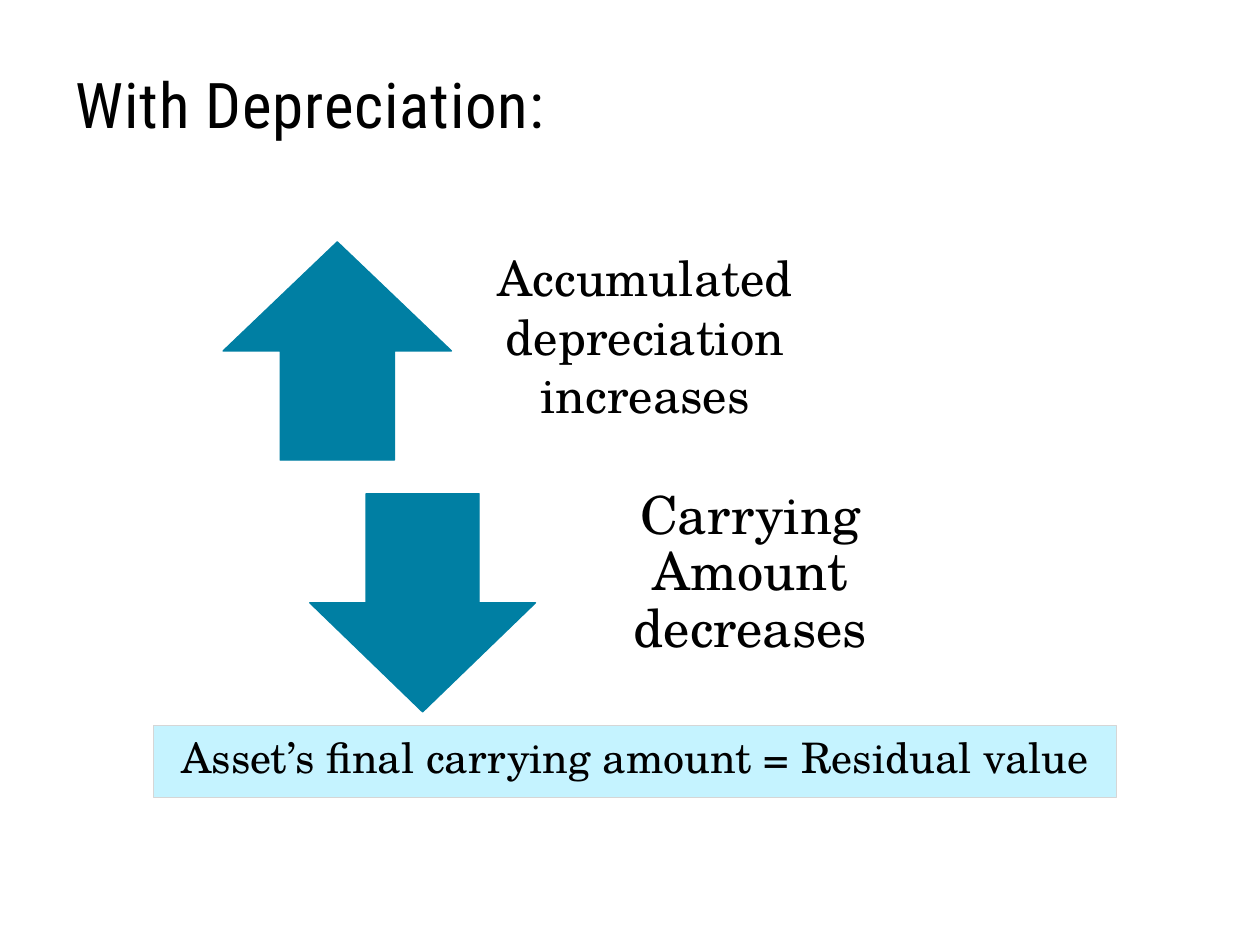
from pptx import Presentation
from pptx import util as u
from pptx.dml.color import RGBColor
from pptx.enum import shapes, text

Pt = u.Pt
UP, DOWN = shapes.MSO_SHAPE.UP_ARROW, shapes.MSO_SHAPE.DOWN_ARROW

THEME = {
    "ink": "000000", "arrow": "007FA3", "band": "C5F3FF", "band_line": "D6D6D6",
    "title_font": "Roboto Condensed", "body_font": "TeX Gyre Schola",
    "title_size": 36, "increase_size": 27.8, "decrease_size": 30, "result_size": 24,
    "line_width": 0.75,
}

# Frames are left, top, width, height in points.
TITLE = ("With Depreciation:", (36, 17.3, 648, 86.4))
EFFECTS = [
    {"arrow": UP, "arrow_frame": (127.5, 138.2, 130.5, 124.7),
     "text": "Accumulated depreciation increases",
     "text_frame": (275.8, 138.2, 185.8, 120.2),
     "size": THEME["increase_size"], "line_spacing": 1.0},
    {"arrow": DOWN, "arrow_frame": (177, 282.1, 129, 124.7),
     "text": "Carrying Amount decreases",
     "text_frame": (347.8, 275.8, 162, 113.8),
     "size": THEME["decrease_size"], "line_spacing": 0.9},
]
RESULT = ("Asset’s final carrying amount = Residual value", (87.8, 414.7, 550.1, 41))


def points(frame):
    return [Pt(value) for value in frame]


def colour(name):
    return RGBColor.from_string(THEME[name])


def write(box, words, *, size, font="body_font", align=text.PP_ALIGN.CENTER,
          anchor=text.MSO_ANCHOR.TOP, line_spacing=1.0, space_after=8,
          inset_top=3.6, tracking=None):
    frame = box.text_frame
    frame.word_wrap = True
    frame.auto_size = text.MSO_AUTO_SIZE.NONE
    frame.vertical_anchor = anchor
    frame.margin_left = frame.margin_right = Pt(7.2)
    frame.margin_top, frame.margin_bottom = Pt(inset_top), Pt(3.6)
    para = frame.paragraphs[0]
    para.alignment = align
    para.line_spacing = line_spacing
    para.space_before, para.space_after = Pt(0), Pt(space_after)
    span = para.add_run()
    span.text = words
    span.font.name = THEME[font]
    span.font.size = Pt(size)
    span.font.color.rgb = colour("ink")
    if tracking is not None:
        span.font._element.set("spc", str(round(tracking * 100)))


def add_filled(page, kind, frame, fill, line):
    shape = page.shapes.add_shape(kind, *points(frame))
    shape.shadow.inherit = False
    shape.fill.solid()
    shape.fill.fore_color.rgb = colour(fill)
    shape.line.color.rgb = colour(line)
    shape.line.width = Pt(THEME["line_width"])
    return shape


def add_title(page):
    words, frame = TITLE
    title = page.shapes.title
    title.left, title.top, title.width, title.height = points(frame)
    write(title, words, size=THEME["title_size"], font="title_font",
          align=text.PP_ALIGN.LEFT, anchor=text.MSO_ANCHOR.MIDDLE,
          line_spacing=0.85, space_after=0, inset_top=7.2, tracking=0.5)


def main():
    deck = Presentation()
    deck.slide_width, deck.slide_height = Pt(720), Pt(540)
    page = deck.slides.add_slide(deck.slide_layouts[5])
    add_title(page)
    for effect in EFFECTS:
        add_filled(page, effect["arrow"], effect["arrow_frame"], "arrow", "arrow")
        box = page.shapes.add_textbox(*points(effect["text_frame"]))
        write(box, effect["text"], size=effect["size"],
              line_spacing=effect["line_spacing"])
    words, frame = RESULT
    band = add_filled(page, shapes.MSO_SHAPE.RECTANGLE, frame, "band", "band_line")
    write(band, words, size=THEME["result_size"])
    deck.save("out.pptx")


if __name__ == "__main__":
    main()
